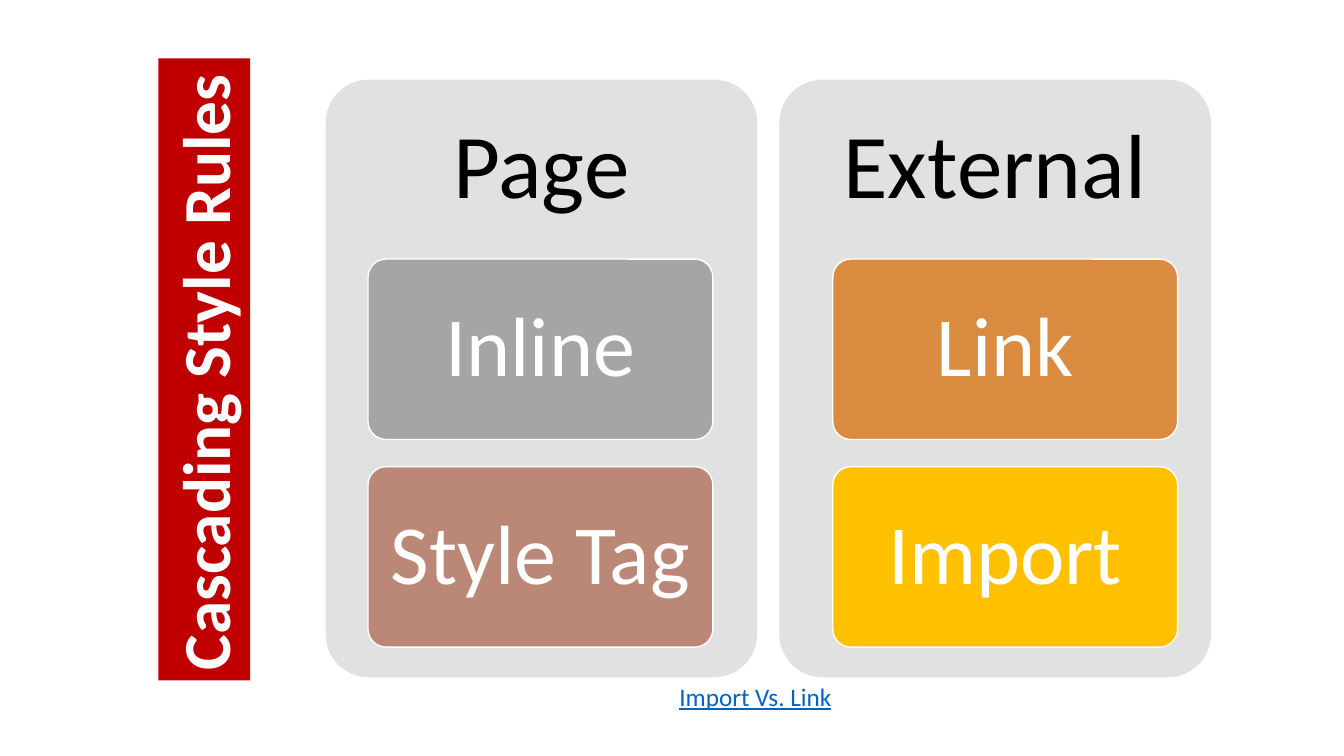
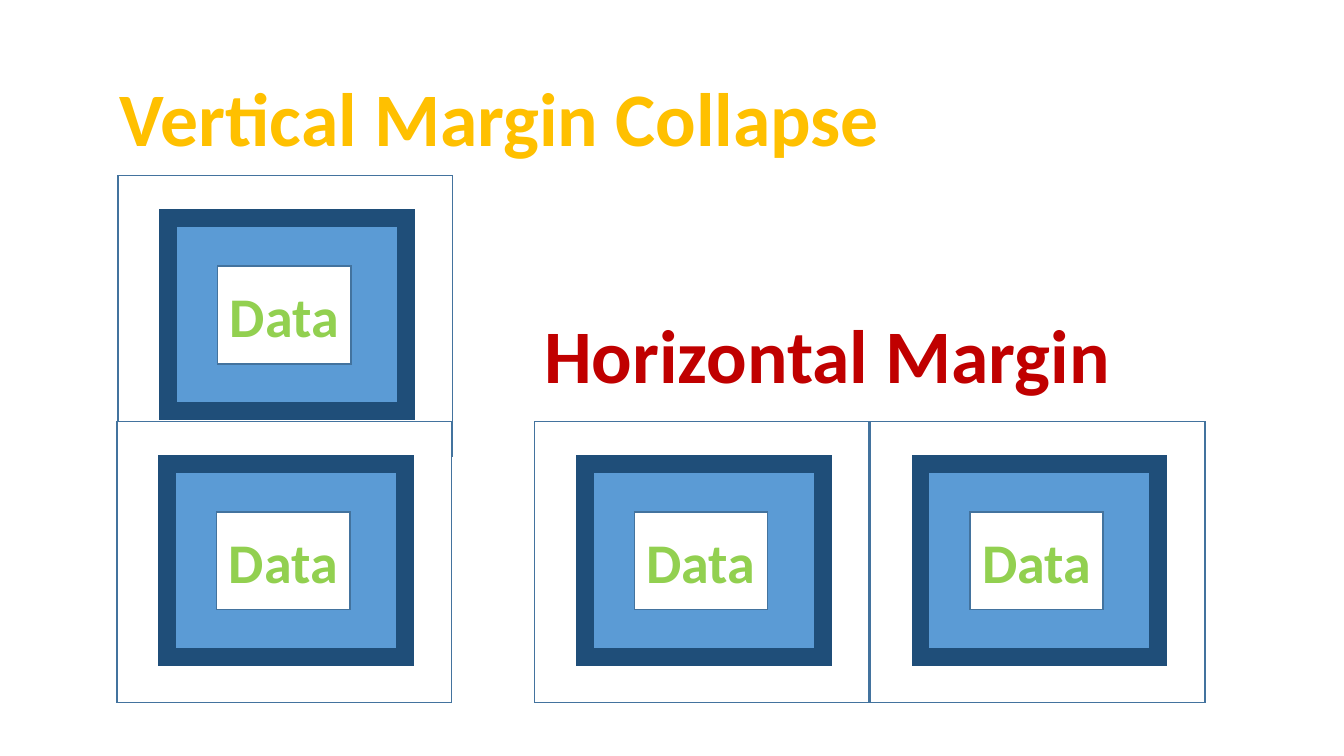
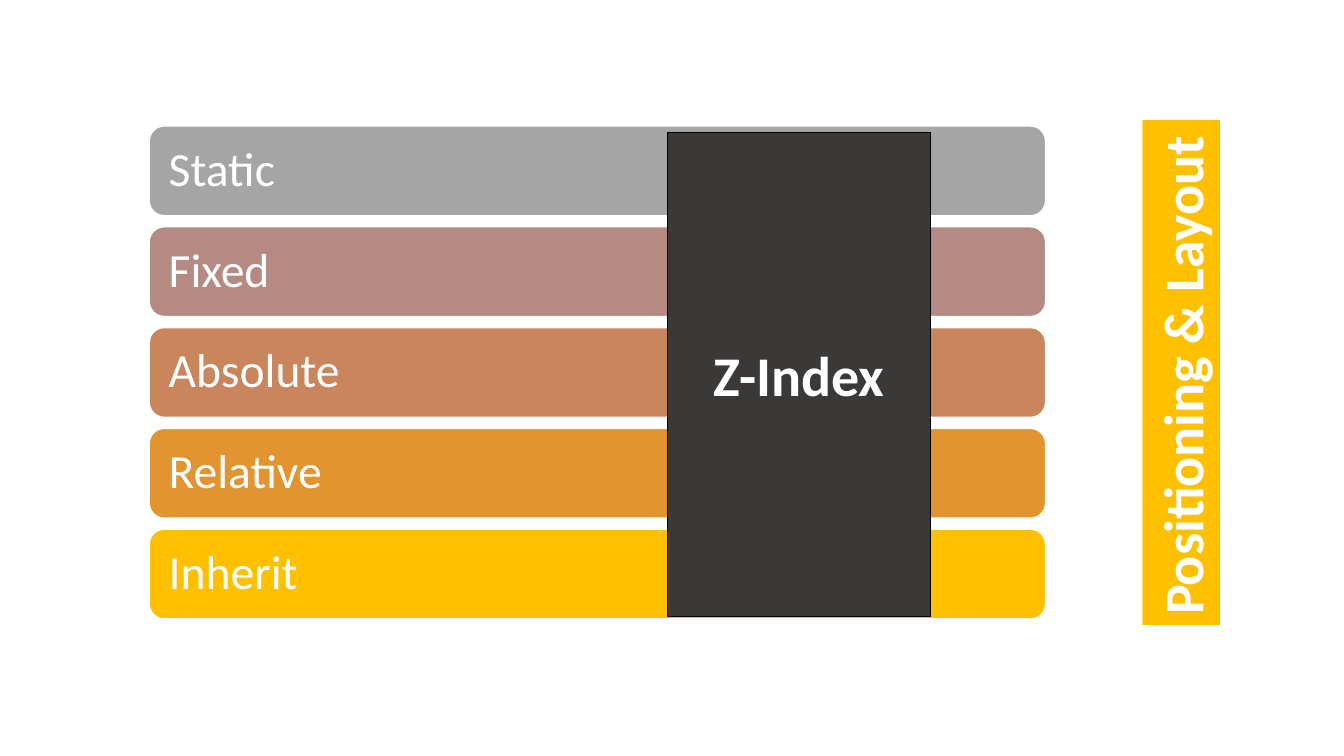
from lxml import etree
from pptx import Presentation
from pptx.dml.color import RGBColor
from pptx.enum.shapes import MSO_SHAPE
from pptx.enum.text import MSO_ANCHOR, MSO_AUTO_SIZE, PP_ALIGN
from pptx.oxml.ns import qn
from pptx.util import Inches, Pt

RECTANGLE = MSO_SHAPE.RECTANGLE
ROUNDED = MSO_SHAPE.ROUNDED_RECTANGLE
LEFT, CENTER = PP_ALIGN.LEFT, PP_ALIGN.CENTER
TOP, MIDDLE = MSO_ANCHOR.TOP, MSO_ANCHOR.MIDDLE
NO_AUTOFIT = MSO_AUTO_SIZE.NONE

# Shared look
FONT = "Calibri"
TITLE_ONLY = 5
WHITE, BLACK, GRAY = "FFFFFF", "000000", "A5A5A5"
GOLD, RED = "FFC000", "C00000"
PANEL_GRAY, LINK_BLUE, CHARCOAL = "E1E1E1", "0563C1", "3B3838"
OUTLINE_BLUE, BORDER_BLUE, PADDING_BLUE, DATA_GREEN = "43739E", "1F4E79", "5B9BD5", "92D050"


def rgb(color):
    return RGBColor.from_string(color)


def write(shape, text, size, color, bold=False, underline=False, align=LEFT, anchor=TOP,
          insets=(0.1, 0.05, 0.1, 0.05), wrap=False, spacing=1.0):
    """Put one formatted paragraph in a shape; insets are left, top, right, bottom."""
    frame = shape.text_frame
    frame.auto_size = NO_AUTOFIT
    frame.word_wrap = wrap
    frame.vertical_anchor = anchor
    (frame.margin_left, frame.margin_top,
     frame.margin_right, frame.margin_bottom) = map(Inches, insets)
    paragraph = frame.paragraphs[0]
    paragraph.alignment = align
    paragraph.line_spacing = spacing
    run = paragraph.add_run()
    run.text = text
    font = run.font
    font.name, font.size, font.bold, font.underline = FONT, Pt(size), bold, underline
    font.color.rgb = rgb(color)


def add_box(shapes, left, top, width, height, fill, line=None, line_width=1,
            kind=RECTANGLE, corner=None):
    shape = shapes.add_shape(kind, Inches(left), Inches(top), Inches(width), Inches(height))
    shape.shadow.inherit = False
    if corner is not None:
        shape.adjustments[0] = corner
    shape.fill.solid()
    shape.fill.fore_color.rgb = rgb(fill)
    if line is None:
        shape.line.fill.background()
    else:
        shape.line.color.rgb = rgb(line)
        shape.line.width = Pt(line_width)
        if kind == RECTANGLE:  # square corners
            etree.SubElement(shape.line._get_or_add_ln(), qn("a:miter"), lim="800000")
    return shape


def add_label(slide, text, left, top, width, height, **text_format):
    label = slide.shapes.add_textbox(Inches(left), Inches(top), Inches(width), Inches(height))
    write(label, text, **text_format)


def add_titled_slide(presentation, text, left, top, width, height, size, color, band=None):
    """Add a slide; a title with a band reads upwards."""
    slide = presentation.slides.add_slide(presentation.slide_layouts[TITLE_ONLY])
    title = slide.shapes.title
    title.left, title.top = Inches(left), Inches(top)
    title.width, title.height = Inches(width), Inches(height)
    write(title, text, size, color, bold=True)
    if band:
        title.rotation = 270
        title.fill.solid()
        title.fill.fore_color.rgb = rgb(band)
    return slide


def add_rule_panel(slide, left, box_left, heading, rules):
    height, heading_height = 5.93, 1.78
    panel = add_box(slide.shapes, left, 0.79, 4.28, height, PANEL_GRAY, kind=ROUNDED, corner=0.1)
    write(panel, heading, 65, BLACK, align=CENTER, anchor=MIDDLE, spacing=0.9,
          insets=(0.1, 0, 0.1, height - heading_height))
    for row, (text, fill) in enumerate(rules):
        box = add_box(slide.shapes, box_left, 2.57 + 2.06 * row, 3.42, 1.79, fill, WHITE,
                      kind=ROUNDED, corner=0.1)
        write(box, text, 60, WHITE, align=CENTER, anchor=MIDDLE, spacing=0.9)


def add_box_model(slide, left, top):
    """Margin, bordered padding and data, nested from the outside in."""
    shapes = slide.shapes.add_group_shape().shapes
    add_box(shapes, left, top, 3.32, 2.79, WHITE, OUTLINE_BLUE)
    add_box(shapes, left + 0.5, top + 0.42, 2.36, 1.92, PADDING_BLUE, BORDER_BLUE, 12.75)
    data = add_box(shapes, left + 0.99, top + 0.9, 1.32, 0.97, WHITE, OUTLINE_BLUE)
    write(data, "Data", 40, DATA_GREEN, bold=True, align=CENTER, anchor=MIDDLE)


def build_style_rules(presentation):
    slide = add_titled_slide(presentation, "Cascading Style Rules", -1.06, 3.21, 6.17, 0.91,
                             48, WHITE, band=RED)
    add_rule_panel(slide, 3.23, 3.65, "Page", [("Inline", GRAY), ("Style Tag", "BB8776")])
    add_rule_panel(slide, 7.73, 8.26, "External", [("Link", "D98B3F"), ("Import", GOLD)])
    add_label(slide, "Import Vs. Link", 6.64, 6.71, 1.73, 0.71,
              size=18, color=LINK_BLUE, underline=True)


def build_margins(presentation):
    slide = add_titled_slide(presentation, "Vertical Margin Collapse", 1.09, 0.65, 7.81, 1.01,
                             54, GOLD)
    for left, top in [(1.17, 1.74), (1.16, 4.18), (5.3, 4.18), (8.63, 4.18)]:
        add_box_model(slide, left, top)
    add_label(slide, "Horizontal Margin", 5.3, 3.01, 5.87, 1.01, size=54, color=RED, bold=True)


def build_positioning(presentation):
    slide = add_titled_slide(presentation, "Positioning & Layout", 9.21, 3.31, 5.01, 0.77,
                             40, WHITE, band=GOLD)
    positions = [("Static", GRAY), ("Fixed", "B48A83"), ("Absolute", "C9855C"),
                 ("Relative", "E19430"), ("Inherit", GOLD)]
    for row, (text, fill) in enumerate(positions):
        bar = add_box(slide.shapes, 1.48, 1.25 + row, 8.89, 0.89, fill, WHITE, kind=ROUNDED)
        write(bar, text, 34, WHITE, anchor=MIDDLE, insets=(0.15, 0.05, 0.15, 0.05),
              wrap=True, spacing=0.9)
    z_index = add_box(slide.shapes, 6.62, 1.31, 2.61, 4.81, CHARCOAL, BLACK, 0.75)
    write(z_index, "Z-Index", 40, WHITE, bold=True, align=CENTER, anchor=MIDDLE, wrap=True)


def main():
    presentation = Presentation()
    presentation.slide_width, presentation.slide_height = Inches(13.33), Inches(7.5)
    build_style_rules(presentation)
    build_margins(presentation)
    build_positioning(presentation)
    presentation.save("out.pptx")


if __name__ == "__main__":
    main()
